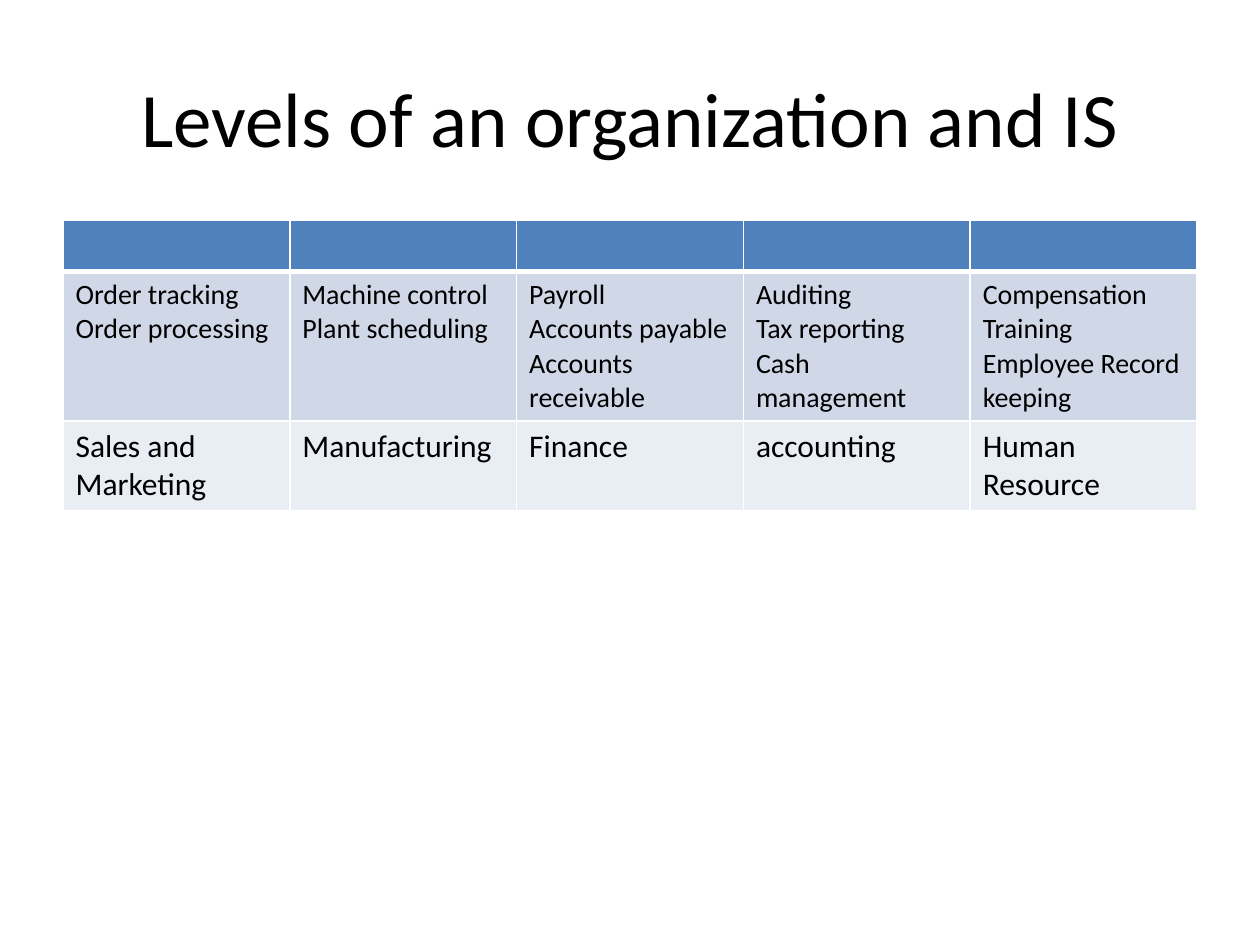
"""Build a slide with a table of information systems by department."""
from lxml.etree import SubElement as Sub
from pptx import Presentation
from pptx.dml.color import RGBColor as Rgb
from pptx.enum.text import MSO_ANCHOR as Anchor, PP_ALIGN as Align
from pptx.oxml.ns import qn
from pptx.util import Inches, Pt

HUES = {"text": "000000", "line": "FFFFFF", "head": "4F81BD",
        "dark": "D0D8E8", "light": "E9EDF4"}
TASKS = ["Order tracking\nOrder processing",
         "Machine control\nPlant scheduling",
         "Payroll\nAccounts payable\nAccounts receivable",
         "Auditing\nTax reporting\nCash management",
         "Compensation\nTraining\nEmployee Record keeping"]
UNITS = ["Sales and Marketing", "Manufacturing", "Finance", "accounting",
         "Human Resource"]
ROWS = [
    {"texts": [""] * 5, "fill": "head", "size": 18, "high": 0.4, "top": 1, "base": 3},
    {"texts": TASKS, "fill": "dark", "size": 16, "high": 1.17, "top": 3, "base": 1},
    {"texts": UNITS, "fill": "light", "size": 18, "high": 0.7, "top": 1, "base": 1},
]


class Deck:
    """Hold the style and the current slide."""

    def __init__(self, wide, high):
        """Open a deck with one title slide."""
        self.show = Presentation()
        self.show.slide_width, self.show.slide_height = Inches(wide), Inches(high)
        self.slide = self.show.slides.add_slide(self.show.slide_layouts[5])

    def style(self, para, size):
        """Set the font of a paragraph."""
        form = {"name": "Calibri", "size": Pt(size), "bold": False}
        for key, val in form.items():
            setattr(para.font, key, val)
        para.font.color.rgb = Rgb.from_string(HUES["text"])

    def title(self, text, box, size):
        """Place and fill the title."""
        shape = self.slide.shapes.title
        for key, val in zip(("left", "top", "width", "height"), box):
            setattr(shape, key, Inches(val))
        frame = shape.text_frame
        frame.text, frame.vertical_anchor = text, Anchor.MIDDLE
        frame.paragraphs[0].alignment = Align.CENTER
        self.style(frame.paragraphs[0], size)

    def edge(self, cell, sides):
        """Draw the borders of a cell."""
        props = cell._tc.get_or_add_tcPr()
        for side, width in sides.items():
            line = Sub(props, qn("a:ln" + side), w=str(Pt(width)))
            fill = Sub(line, qn("a:solidFill"))
            Sub(fill, qn("a:srgbClr"), val=HUES["line"])

    def table(self, rows, left, top, wide):
        """Add a table with equal columns."""
        count = len(rows[0]["texts"])
        high = sum(row["high"] for row in rows)
        grid = self.slide.shapes.add_table(
            len(rows), count, Inches(left), Inches(top),
            Inches(wide), Inches(high)).table
        for col in grid.columns:
            col.width = Inches(wide / count)
        for line, row in zip(grid.rows, rows):
            line.height = Inches(row["high"])
            for cell, text in zip(line.cells, row["texts"]):
                cell.text = text
                for para in cell.text_frame.paragraphs:
                    self.style(para, row["size"])
                self.edge(cell, {"L": 1, "R": 1, "T": row["top"], "B": row["base"]})
                cell.fill.solid()
                cell.fill.fore_color.rgb = Rgb.from_string(HUES[row["fill"]])


deck = Deck(10, 7.5)
deck.title("Levels of an organization and IS", (0.5, 0.3, 9, 1.25), 44)
deck.table(ROWS, 0.5, 1.75, 9)
deck.show.save("out.pptx")
